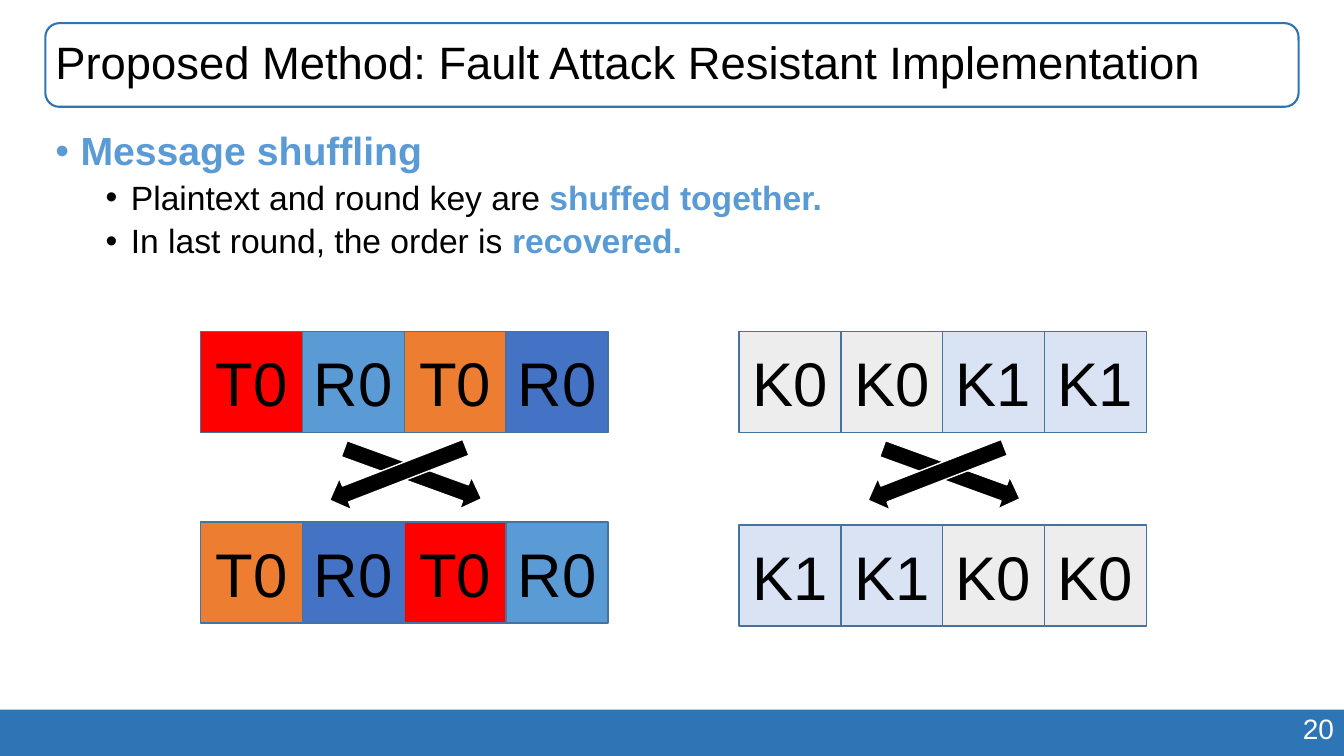
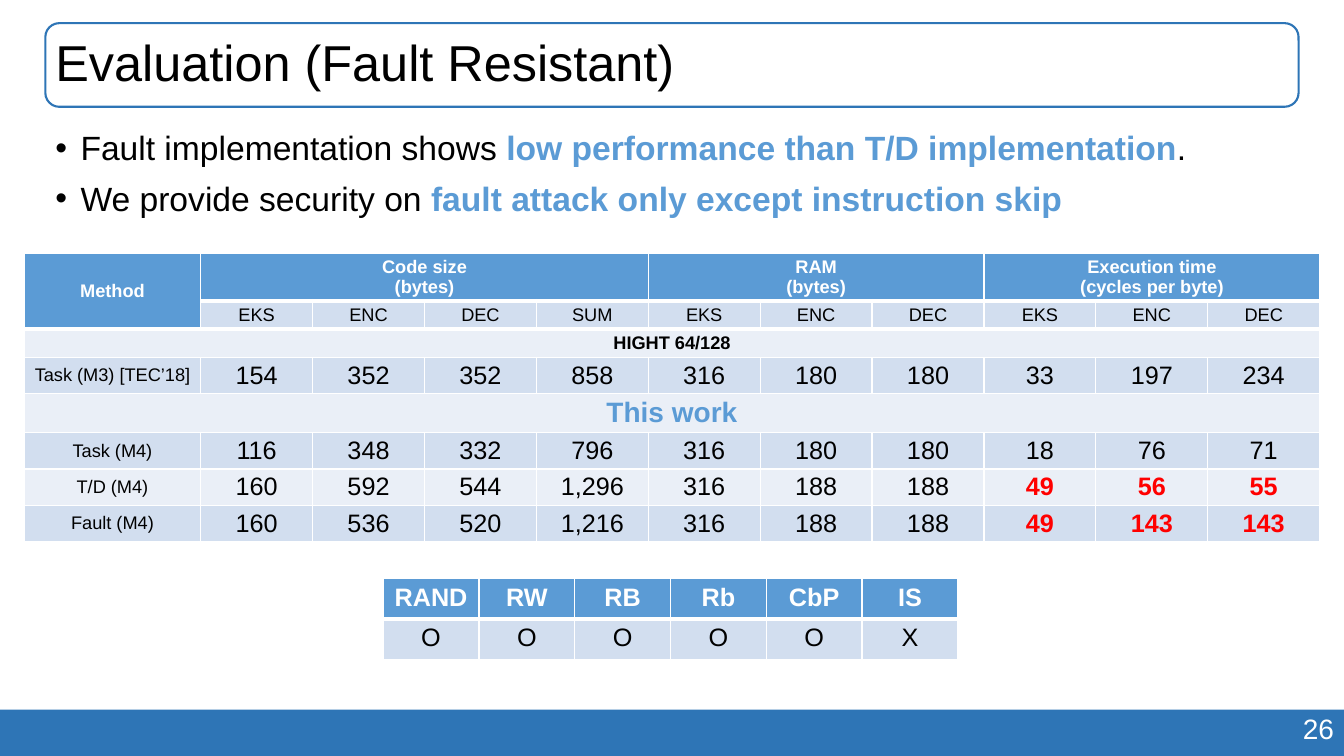
from dataclasses import dataclass

from lxml.etree import SubElement
from pptx import Presentation
from pptx.dml.color import RGBColor
from pptx.enum.shapes import MSO_SHAPE as Preset
from pptx.enum.text import MSO_ANCHOR as Anchor, PP_ALIGN as Align
from pptx.oxml.ns import qn
from pptx.util import Inches, Pt


@dataclass(frozen=True)
class Theme:
    """Colours, font and type sizes shared by the slides."""
    font: str = "Arial"
    band: str = "2E75B6"
    accent: str = "5B9BD5"
    outline: str = "43739E"
    ink: str = "000000"
    paper: str = "FFFFFF"
    red: str = "FF0000"
    orange: str = "ED7D31"
    blue: str = "4472C4"
    grey: str = "EDEDED"
    pale: str = "DAE3F3"
    dark_row: str = "D2DEEF"
    light_row: str = "EAEFF7"
    title: float = 36
    long_title: float = 32.4
    topic: float = 28
    body: float = 24
    tile: float = 44
    page: float = 20
    section: float = 20
    value: float = 18
    label: float = 13


THEME = Theme()
WIDTH, HEIGHT = 13.33, 7.5
HEADING_BOX = (0.45, 0.23, 12.43, 0.83)
BODY_BOX = (0.45, 1.26, 12.88, 5.53)
TILE = 1.01

TASK_HEADER = [
    ["Method", "Code size\n(bytes)", "", "", "", "RAM\n(bytes)", "", "",
     "Execution time\n(cycles per byte)", "", ""],
    ["", "EKS", "ENC", "DEC", "SUM", "EKS", "ENC", "DEC", "EKS", "ENC", "DEC"],
]
TASK_ROWS = TASK_HEADER + [
    ["HIGHT 64/128"] + [""] * 10,
    ["Task (M3) [TEC’18]", "154", "352", "352", "858", "316", "180", "180", "33", "197", "234"],
    ["This work"] + [""] * 10,
    ["Task (M4)", "116", "348", "332", "796", "316", "180", "180", "18", "76", "71"],
    ["T/D (M4)", "160", "592", "544", "1,296", "316", "188", "188", "49", "56", "55"],
    ["Fault (M4)", "160", "536", "520", "1,216", "316", "188", "188", "49", "143", "143"],
]
TASK_SPANS = [(0, 0, 1, 0), (0, 1, 0, 4), (0, 5, 0, 7), (0, 8, 0, 10), (2, 0, 2, 10), (4, 0, 4, 10)]
FAULT_ROWS = [["RAND", "RW", "RB", "Rb", "CbP", "IS"], ["O"] * 5 + ["X"]]


def inches(box):
    """Turn a box of numbers into lengths."""
    return [Inches(length) for length in box]


def apply(target, formats):
    """Set attributes of an object from a dict of values."""
    for name, setting in formats.items():
        setattr(target, name, setting)


def add_text(paragraph, text, size, color=THEME.ink, bold=False):
    """Append a formatted run to a paragraph."""
    run = paragraph.add_run()
    run.text = text
    apply(run.font, {"name": THEME.font, "size": Pt(size), "bold": bold})
    run.font.color.rgb = RGBColor.from_string(color)


def add_block(slide, preset, box, fill=None, line=None, weight=1):
    """Place a flat preset shape."""
    block = slide.shapes.add_shape(preset, *inches(box))
    block.shadow.inherit = False
    if fill:
        block.fill.solid()
        block.fill.fore_color.rgb = RGBColor.from_string(fill)
    else:
        block.fill.background()
    if line:
        block.line.color.rgb = RGBColor.from_string(line)
        block.line.width = Pt(weight)
    else:
        block.line.fill.background()
    return block


def add_frame(slide, title, title_size, page):
    """Draw the heading box, the footer band and the page number."""
    add_block(slide, Preset.RECTANGLE, (0, 7.04, WIDTH, 0.46), THEME.band)
    number = slide.shapes.add_textbox(*inches((9.43, 7.01, 3.9, 0.44))).text_frame
    number.word_wrap = True
    number.paragraphs[0].alignment = Align.RIGHT
    add_text(number.paragraphs[0], page, THEME.page, THEME.paper)
    heading = add_block(slide, Preset.ROUNDED_RECTANGLE, HEADING_BOX, None, THEME.band, 1.5).text_frame
    apply(heading, {"word_wrap": True, "vertical_anchor": Anchor.MIDDLE, "margin_left": Inches(0.06)})
    apply(heading.paragraphs[0], {"alignment": Align.LEFT, "line_spacing": 0.9})
    add_text(heading.paragraphs[0], title, title_size)


def add_bullets(slide, box, points):
    """Write bullets given as (level, size, plain and accented parts in turn)."""
    body = slide.shapes.add_textbox(*inches(box)).text_frame
    body.word_wrap = True
    for index, (level, size, parts) in enumerate(points):
        point = body.paragraphs[0] if index == 0 else body.add_paragraph()
        apply(point, {"level": level, "line_spacing": 0.9,
                      "space_before": Pt((5 if level else 10) if index else 0)})
        properties = point._p.get_or_add_pPr()
        properties.set("marL", str(Inches(0.25 + 0.5 * level)))
        properties.set("indent", str(Inches(-0.25)))
        SubElement(properties, qn("a:buFont"), typeface=THEME.font)
        SubElement(properties, qn("a:buChar"), char="•")
        for order, part in enumerate(parts):
            accented = order % 2 == 1
            if part:
                add_text(point, part, size, THEME.accent if accented else THEME.ink, accented)


def add_tiles(slide, left, top, tiles):
    """Draw a row of touching labelled squares."""
    for column, (label, fill) in enumerate(tiles):
        box = (left + column * TILE, top, TILE, 1)
        tile = add_block(slide, Preset.RECTANGLE, box, fill, THEME.outline).text_frame
        apply(tile, {"vertical_anchor": Anchor.MIDDLE, "word_wrap": True})
        tile.paragraphs[0].alignment = Align.CENTER
        add_text(tile.paragraphs[0], label, THEME.tile)


def add_shuffle(slide, left, top, drop, tiles):
    """Draw tiles, crossing arrows and the tiles with their halves swapped."""
    add_tiles(slide, left, top, tiles)
    add_tiles(slide, left, top + drop, tiles[2:] + tiles[:2])
    for offset, angle in ((1.38, 20), (1.23, 158.8)):
        box = (left + offset, top + 1.24, 1.45, 0.34)
        arrow = add_block(slide, Preset.RIGHT_ARROW, box, THEME.ink, THEME.paper)
        arrow.rotation = angle


def add_borders(cell, top, bottom):
    """Give a cell white borders with the given top and bottom weights."""
    properties = cell._tc.get_or_add_tcPr()
    for side, weight in (("L", 1), ("R", 1), ("T", top), ("B", bottom)):
        border = SubElement(properties, qn(f"a:ln{side}"), w=str(Pt(weight)))
        fill = SubElement(border, qn("a:solidFill"))
        SubElement(fill, qn("a:srgbClr"), val=THEME.paper)


def add_grid(slide, corner, widths, heights, rows, look, header_rows, spans=(), cell_format=None):
    """Build a table whose look(row, column) gives fill, size, colour and weight."""
    box = (*corner, sum(widths), sum(heights))
    grid = slide.shapes.add_table(len(rows), len(widths), *inches(box)).table
    apply(grid, {"first_row": False, "horz_banding": False})
    for column, width in zip(grid.columns, widths):
        column.width = Inches(width)
    for row, height in zip(grid.rows, heights):
        row.height = Inches(height)
    for first_row, first_column, last_row, last_column in spans:
        grid.cell(first_row, first_column).merge(grid.cell(last_row, last_column))
    for row, texts in enumerate(rows):
        for column, text in enumerate(texts):
            cell = grid.cell(row, column)
            add_borders(cell, 3 if 0 < row <= header_rows else 1, 3 if row < header_rows else 1)
            fill, size, color, bold = look(row, column)
            cell.fill.solid()
            cell.fill.fore_color.rgb = RGBColor.from_string(fill)
            apply(cell, cell_format or {})
            for index, line in enumerate(text.split("\n")):
                frame = cell.text_frame
                paragraph = frame.paragraphs[0] if index == 0 else frame.add_paragraph()
                paragraph.alignment = Align.CENTER
                add_text(paragraph, line, size, color, bold)


def task_look(row, column):
    """Choose the look of a cell in the performance table."""
    if row == 0:
        return THEME.accent, THEME.label, THEME.paper, True
    fill = THEME.dark_row if row % 2 else THEME.light_row
    if row == 4:
        return fill, THEME.section, THEME.accent, True
    if row <= 2 or column == 0:
        return fill, THEME.label, THEME.ink, row == 2
    highlighted = row >= 6 and column >= 8
    return fill, THEME.value, THEME.red if highlighted else THEME.ink, highlighted


def fault_look(row, column):
    """Choose the look of a cell in the fault model table."""
    if row == 0:
        return THEME.accent, THEME.value, THEME.paper, True
    return THEME.dark_row, THEME.value, THEME.ink, False


def build_method(slide):
    """Build the message shuffling slide."""
    add_frame(slide, "Proposed Method: Fault Attack Resistant Implementation", THEME.long_title, "20")
    add_bullets(slide, BODY_BOX, [
        (0, THEME.topic, ("", "Message shuffling")),
        (1, THEME.body, ("Plaintext and round key are ", "shuffed together.")),
        (1, THEME.body, ("In last round, the order is ", "recovered.")),
    ])
    add_shuffle(slide, 1.99, 3.29, 1.89, [
        ("T0", THEME.red), ("R0", THEME.accent), ("T0", THEME.orange), ("R0", THEME.blue)])
    add_shuffle(slide, 7.33, 3.29, 1.92, [("K0", THEME.grey)] * 2 + [("K1", THEME.pale)] * 2)


def build_evaluation(slide):
    """Build the evaluation slide with its two tables."""
    add_frame(slide, "Evaluation (Fault Resistant)", THEME.title, "26")
    add_bullets(slide, BODY_BOX, [
        (0, THEME.body, ("Fault implementation shows ", "low performance than T/D implementation", ".")),
        (0, THEME.body, ("We provide security on ", "fault attack only except instruction skip")),
    ])
    add_grid(slide, (3.8, 5.74), [0.95] * 6, [0.4] * 2, FAULT_ROWS, fault_look, 1)
    add_grid(slide, (0.24, 2.51), [1.75] + [1.11] * 10,
             [0.47, 0.28, 0.28, 0.36, 0.39, 0.36, 0.36, 0.36],
             TASK_ROWS, task_look, 2, TASK_SPANS,
             {"vertical_anchor": Anchor.MIDDLE, "margin_left": Inches(0.07),
              "margin_right": Inches(0.07), "margin_top": Inches(0.02),
              "margin_bottom": Inches(0.02)})


def main():
    """Build and save the presentation."""
    deck = Presentation()
    apply(deck, {"slide_width": Inches(WIDTH), "slide_height": Inches(HEIGHT)})
    for build in (build_method, build_evaluation):
        build(deck.slides.add_slide(deck.slide_layouts[6]))
    deck.save("out.pptx")


if __name__ == "__main__":
    main()
